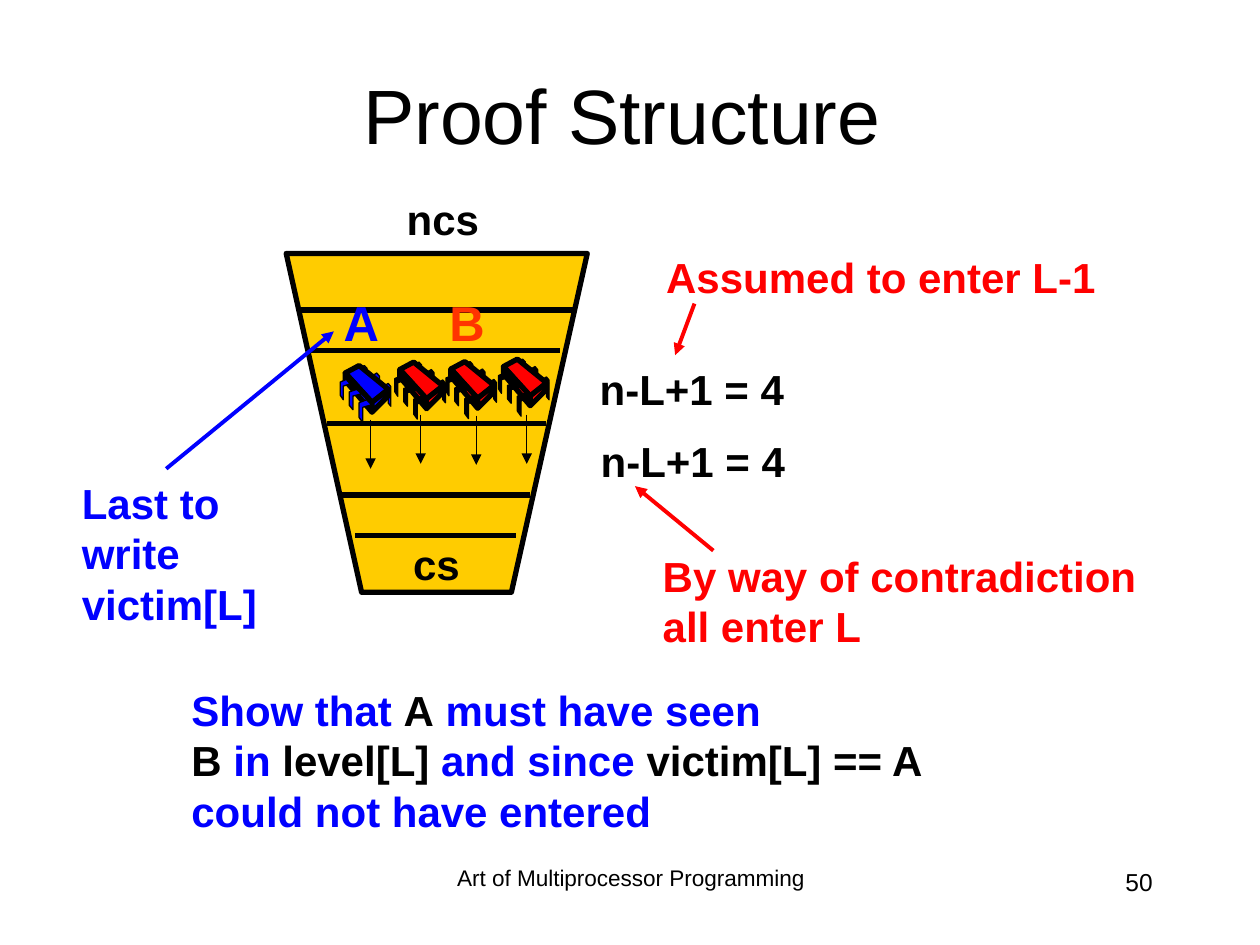
"""Build the "Proof Structure" slide on the n-thread filter lock."""
from lxml import etree
from pptx import Presentation
from pptx import util as u
from pptx.dml.color import RGBColor
from pptx.enum import shapes, text
from pptx.oxml import ns

BLACK = RGBColor(0x00, 0x00, 0x00)
RED = RGBColor(0xFF, 0x00, 0x00)
BLUE = RGBColor(0x00, 0x00, 0xFF)
ORANGE = RGBColor(0xFF, 0x33, 0x00)
GOLD = RGBColor(0xFF, 0xCC, 0x00)

BACK_LEG = [(0, .14), (.67, 0), (1, .14), (1, 1), (.67, .86), (.67, .29), (0, .43)]
FRONT_LEG = [(.6, 0), (1, .22), (.3, .33), (.3, 1), (0, .78), (0, .13)]
BACK_LEG_BOXES = [(.86, .36, .16, .46), (.63, .15, .16, .46), (.38, 0, .16, .41)]
FRONT_LEG_BOXES = [(.38, .69, .25, .46), (.18, .48, .25, .41), (0, .28, .2, .41)]
BODY_FACES = [
    [(.38, 0), (.97, .48), (.64, .75), (.1, .15)],
    [(.1, .15), (.64, .74), (.64, .94), (.1, .3)],
    [(.97, .48), (.97, .61), (.64, .94), (.64, .74)],
]


class Deck:
    """Style and current slide, with one method per kind of element."""

    font = "Arial"

    def __init__(self, width, height):
        self.prs = Presentation()
        self.prs.slide_width, self.prs.slide_height = u.Cm(width), u.Cm(height)
        self.s = self.prs.slides.add_slide(self.prs.slide_layouts[6])

    def text(self, box, paragraphs, size=24, bold=True, wrap=False,
             align=text.PP_ALIGN.LEFT, anchor=text.MSO_ANCHOR.TOP, spacing=None):
        sp = self.s.shapes.add_textbox(*map(u.Cm, box))
        tf = sp.text_frame
        tf.word_wrap = wrap
        tf.auto_size = text.MSO_AUTO_SIZE.NONE if wrap else text.MSO_AUTO_SIZE.SHAPE_TO_FIT_TEXT
        tf.vertical_anchor = anchor
        for i, runs in enumerate(paragraphs):
            p = tf.add_paragraph() if i else tf.paragraphs[0]
            p.alignment = align
            if spacing:
                p.line_spacing = spacing
            for words, color in runs:
                r = p.add_run()
                r.text = words
                r.font.name, r.font.size, r.font.bold = self.font, u.Pt(size), bold
                r.font.color.rgb = color

    def line(self, start, end, color=BLACK, width=3, arrow=False):
        sp = self.s.shapes.add_connector(
            shapes.MSO_CONNECTOR.STRAIGHT, *map(u.Cm, (*start, *end)))
        sp.line.color.rgb, sp.line.width = color, u.Pt(width)
        if arrow:
            etree.SubElement(sp.line._get_or_add_ln(), ns.qn("a:tailEnd"), type="triangle")
        etree.SubElement(sp._element.spPr, ns.qn("a:effectLst"))

    def polygon(self, points, fill, width=3, parent=None):
        start, *rest = [(u.Cm(x), u.Cm(y)) for x, y in points]
        builder = (parent or self.s).shapes.build_freeform(*start)
        builder.add_line_segments(rest, close=True)
        sp = builder.convert_to_shape()
        sp.shadow.inherit = False
        sp.fill.solid()
        sp.fill.fore_color.rgb = fill
        sp.line.color.rgb, sp.line.width = BLACK, u.Pt(width)

    def thread(self, left, top, body, legs):
        group = self.s.shapes.add_group_shape()

        def draw_legs(outline, boxes):
            for x, y, w, h in boxes:
                points = [(left + x + w * a, top + y + h * b) for a, b in outline]
                self.polygon(points, legs, .75, group)

        draw_legs(BACK_LEG, BACK_LEG_BOXES)
        for face in BODY_FACES:
            self.polygon([(left + x, top + y) for x, y in face], body, parent=group)
        draw_legs(FRONT_LEG, FRONT_LEG_BOXES)


def main():
    d = Deck(25.4, 19.05)
    d.text((8.69, 17.35, 8.05, 1.27), [[("Art of Multiprocessor Programming", BLACK)]],
           12.9, False, True, text.PP_ALIGN.CENTER, spacing=.9)
    d.text((18.21, 17.35, 5.28, 1.27), [[("50", BLACK)]],
           14, False, True, text.PP_ALIGN.RIGHT)
    d.text((1.75, .71, 21.59, 3.18), [[("Proof Structure", BLACK)]],
           44, False, True, text.PP_ALIGN.CENTER, text.MSO_ANCHOR.MIDDLE)

    d.text((7.95, 3.78, 1.96, 1.27), [[("ncs", BLACK)]])
    d.polygon([(5.77, 5.11), (7.29, 11.94), (10.31, 11.94), (11.84, 5.11)], GOLD)
    for left, right, y in [(6.07, 11.56, 6.25), (6.2, 11.28, 7.06), (6.6, 11, 8.53),
                           (7.16, 10.41, 10.8), (6.88, 10.69, 9.98)]:
        d.line((left, y), (right, y))
    d.text((8.08, 10.74, 1.45, 1.27), [[("cs", BLACK)]])

    d.text((13.18, 4.95, 9.17, 1.27), [[("Assumed to enter L-1", RED)]])
    d.line((14, 6.12), (13.61, 7.16), RED, 2.25, True)
    d.text((13.11, 10.97, 10.06, 2.29),
           [[("By way of contradiction", RED)], [("all enter L", RED)]])
    d.line((14.38, 11.1), (12.8, 9.8), RED, 2.25, True)

    for left, top, body, legs in [(8.99, 7.29, RED, BLACK), (7.96, 7.3, RED, BLACK),
                                  (10.05, 7.24, RED, BLACK), (6.86, 7.37, BLUE, BLUE)]:
        d.thread(left, top, body, legs)
    for x, y in [(7.47, 8.46), (8.48, 8.36), (9.6, 8.38), (10.62, 8.36)]:
        d.line((x, y), (x, y + .99), width=.75, arrow=True)

    for left, top in [(11.84, 7.21), (11.86, 8.66)]:
        d.text((left, top, 4.22, 1.27), [[("n-L+1 = 4", BLACK)]])
    for left, name, color in [(6.68, "A", BLUE), (8.81, "B", ORANGE)]:
        d.text((left, 5.77, 1.22, 1.45), [[(name, color)]], 28)

    d.text((1.4, 9.5, 4.04, 3.3),
           [[(words, BLUE)] for words in ("Last to", "write", "victim[L]")])
    d.line((3.35, 9.45), (6.73, 6.68), BLUE, 2.25, True)
    d.text((3.61, 13.67, 15.27, 3.3), [
        [("Show that ", BLUE), ("A", BLACK), (" must have seen", BLUE)],
        [("B", BLACK), (" in ", BLUE), ("level[L]", BLACK), (" and since ", BLUE),
         ("victim[L] == A", BLACK)],
        [("could not have entered", BLUE)],
    ])
    d.prs.save("out.pptx")


if __name__ == "__main__":
    main()
